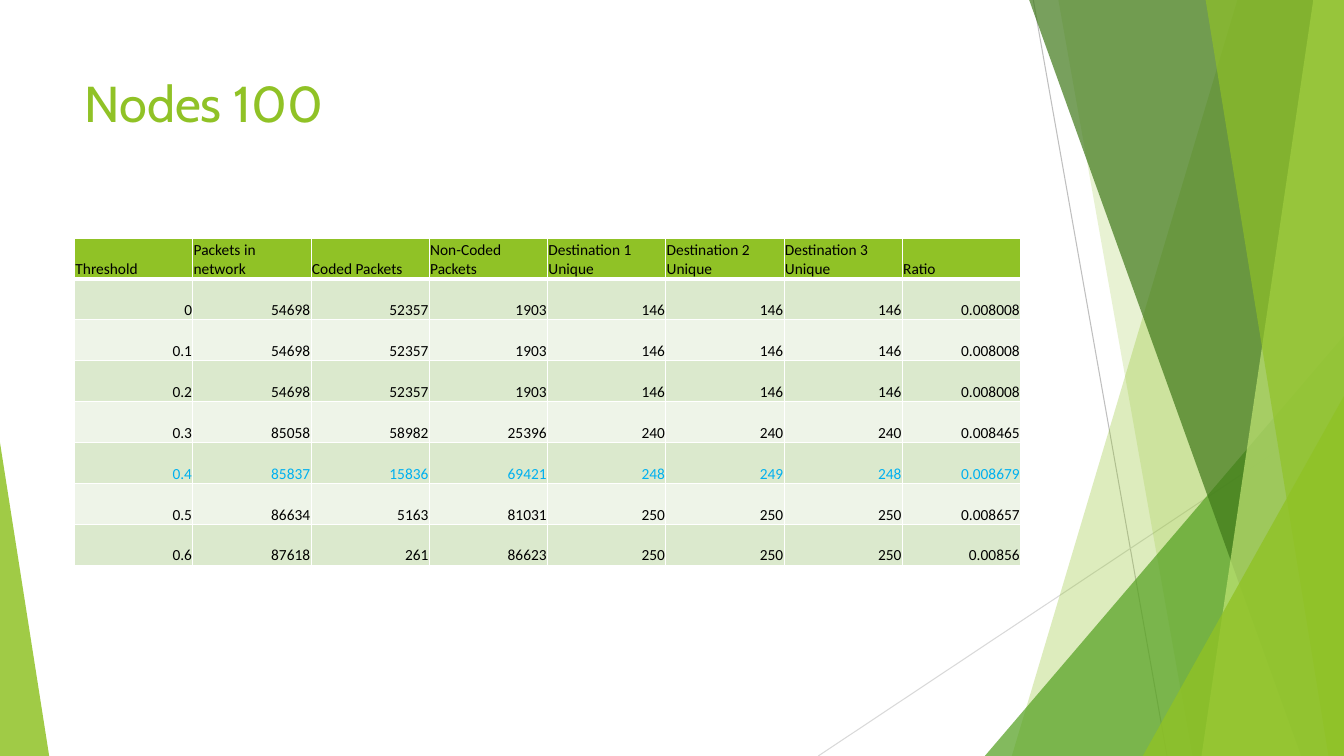
"""Build the "Nodes 100" slide: a results table beside a green faceted backdrop."""
from lxml.etree import SubElement
from pptx import Presentation
from pptx.dml.color import RGBColor
from pptx.enum.shapes import MSO_CONNECTOR, MSO_SHAPE
from pptx.enum.text import MSO_ANCHOR, PP_ALIGN
from pptx.oxml.ns import qn
from pptx.util import Cm, Pt

COLORS = {
    "green": "90C226", "mid_green": "54A021", "dark_green": "3F7819", "lime": "C0E474",
    "light_row": "EEF4E8", "tinted_row": "DBE9CD", "black": "000000", "blue": "00B0F0",
    "white": "FFFFFF", "gray": "BFBFBF", "light_gray": "D9D9D9",
}
WIDTH, HEIGHT = 33.87, 19.05


def write_text(frame, text, font, size, color, align=PP_ALIGN.LEFT):
    paragraph = frame.paragraphs[0]
    paragraph.alignment = align
    run = paragraph.add_run()
    run.text = text
    run.font.name = font
    run.font.size = Pt(size)
    run.font.bold = False
    run.font.color.rgb = RGBColor.from_string(COLORS[color])


presentation = Presentation()
presentation.slide_width, presentation.slide_height = Cm(WIDTH), Cm(HEIGHT)
slide = presentation.slides.add_slide(presentation.slide_layouts[5])
shapes = slide.shapes

for start_x, start_y, end_x, color in [
    (26.04, 0, 29.41, "gray"),
    (WIDTH, 10.24, 20.62, "light_gray"),
]:
    line = shapes.add_connector(
        MSO_CONNECTOR.STRAIGHT, Cm(start_x), Cm(start_y), Cm(end_x), Cm(HEIGHT))
    line.line.color.rgb = RGBColor.from_string(COLORS[color])
    line.line.width = Pt(0.75)
    SubElement(line.element.spPr, qn("a:effectLst"))

# Bands give top and bottom x; triangles give left, top, width and tip position.
facets = [
    ("band", (31.19, 25.5), "green", 30),
    ("band", (26.67, 30.05), "green", 20),
    ("triangle", (24.82, 8.46, 9.05, 1), "mid_green", 72),
    ("band", (25.93, 32.79), "dark_green", 70),
    ("band", (33.1, 30.28), "lime", 70),
    ("band", (30.38, 33.48), "green", 65),
    ("triangle", (28.8, 9.98, 5.07, 1), "green", 80),
    ("triangle", (0, 11.15, 1.24, 0), "green", 85),
]
for kind, geometry, color, opacity in facets:
    if kind == "band":
        top_x, bottom_x = geometry
        builder = shapes.build_freeform(Cm(top_x), Cm(-0.02))
        builder.add_line_segments([
            (Cm(WIDTH), Cm(-0.02)), (Cm(WIDTH), Cm(HEIGHT)), (Cm(bottom_x), Cm(HEIGHT))])
        shape = builder.convert_to_shape()
    else:
        left, top, width, tip = geometry
        shape = shapes.add_shape(
            MSO_SHAPE.ISOSCELES_TRIANGLE, Cm(left), Cm(top), Cm(width), Cm(HEIGHT - top))
        shape.adjustments[0] = tip
    shape.shadow.inherit = False
    shape.line.fill.background()
    shape.fill.solid()
    shape.fill.fore_color.rgb = RGBColor.from_string(COLORS[color])
    color_element = next(shape.element.spPr.iter(qn("a:srgbClr")))
    SubElement(color_element, qn("a:alpha"), val=str(opacity * 1000))

title = shapes.title
title.left, title.top, title.width, title.height = Cm(1.88), Cm(1.7), Cm(23.88), Cm(3.66)
title.text_frame.vertical_anchor = MSO_ANCHOR.TOP
write_text(title.text_frame, "Nodes 100", "Cabin", 36, "green")
title.element.getparent().append(title.element)

rows = [
    ["Threshold", "Packets in network", "Coded Packets", "Non-Coded Packets",
     "Destination 1 Unique", "Destination 2 Unique", "Destination 3 Unique", "Ratio"],
    ["0", "54698", "52357", "1903", "146", "146", "146", "0.008008"],
    ["0.1", "54698", "52357", "1903", "146", "146", "146", "0.008008"],
    ["0.2", "54698", "52357", "1903", "146", "146", "146", "0.008008"],
    ["0.3", "85058", "58982", "25396", "240", "240", "240", "0.008465"],
    ["0.4", "85837", "15836", "69421", "248", "249", "248", "0.008679"],
    ["0.5", "86634", "5163", "81031", "250", "250", "250", "0.008657"],
    ["0.6", "87618", "261", "86623", "250", "250", "250", "0.00856"],
]
column_width, row_height = 2.98, 1.03
table = shapes.add_table(
    len(rows), len(rows[0]), Cm(1.88), Cm(6), Cm(column_width * len(rows[0])),
    Cm(row_height * len(rows))).table
for column in table.columns:
    column.width = Cm(column_width)

for row_index, values in enumerate(rows):
    header = row_index == 0
    table.rows[row_index].height = Cm(row_height)
    fill_color = "green" if header else "tinted_row" if row_index % 2 else "light_row"
    text_color = "blue" if values[0] == "0.4" else "black"
    for column_index, value in enumerate(values):
        cell = table.cell(row_index, column_index)
        cell.margin_left = cell.margin_right = cell.margin_top = Cm(0.02)
        cell.margin_bottom = 0
        cell.vertical_anchor = MSO_ANCHOR.BOTTOM
        write_text(cell.text_frame, value, "Calibri", 11, text_color,
                   PP_ALIGN.LEFT if header else PP_ALIGN.RIGHT)
        properties = cell._tc.get_or_add_tcPr()
        for side in ("L", "R", "T", "B"):
            thick = (header and side == "B") or (row_index == 1 and side == "T")
            border = SubElement(properties, qn(f"a:ln{side}"), w=str(Pt(3 if thick else 1)))
            border_fill = SubElement(border, qn("a:solidFill"))
            SubElement(border_fill, qn("a:srgbClr"), val=COLORS["white"])
        cell.fill.solid()
        cell.fill.fore_color.rgb = RGBColor.from_string(COLORS[fill_color])

presentation.save("out.pptx")
